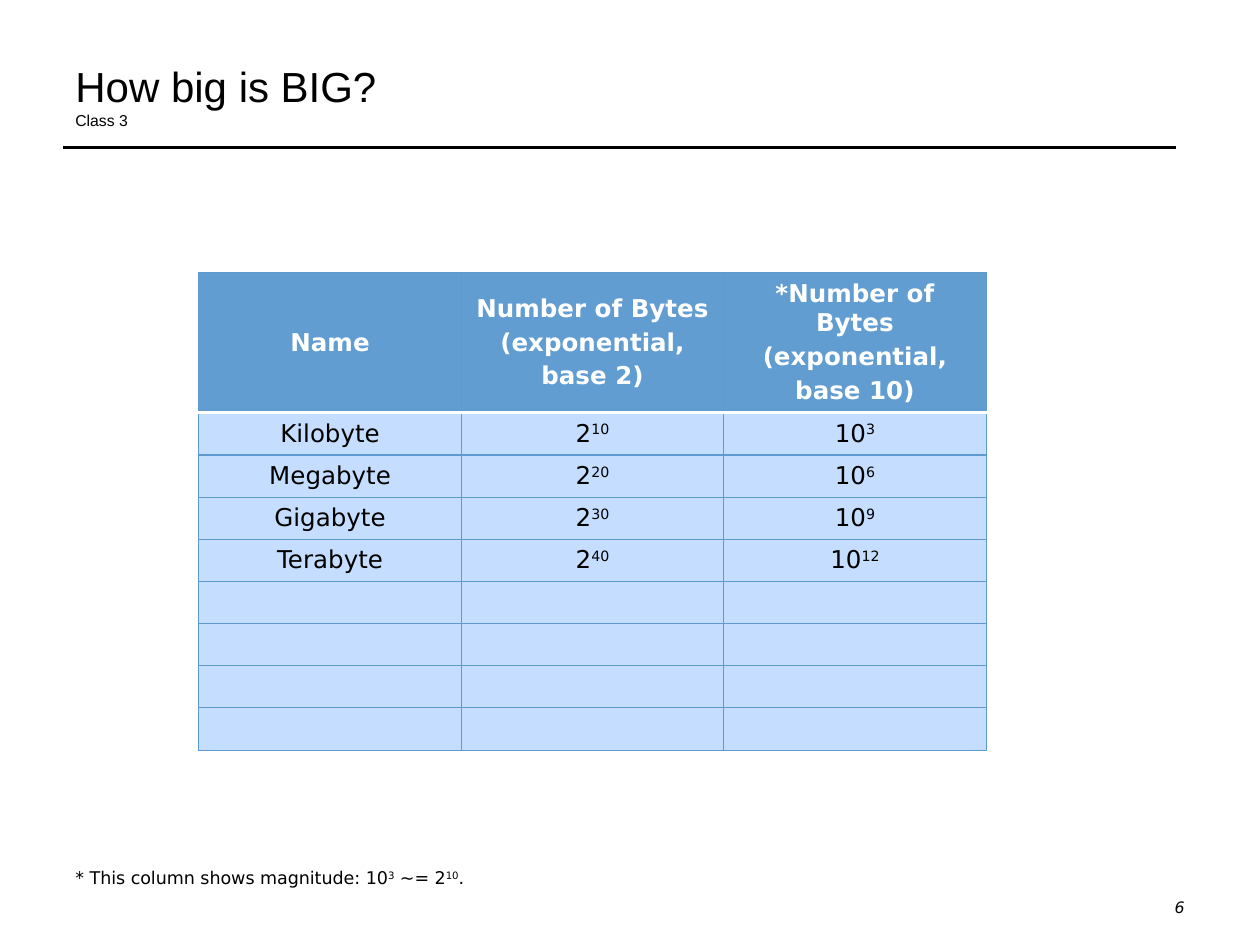
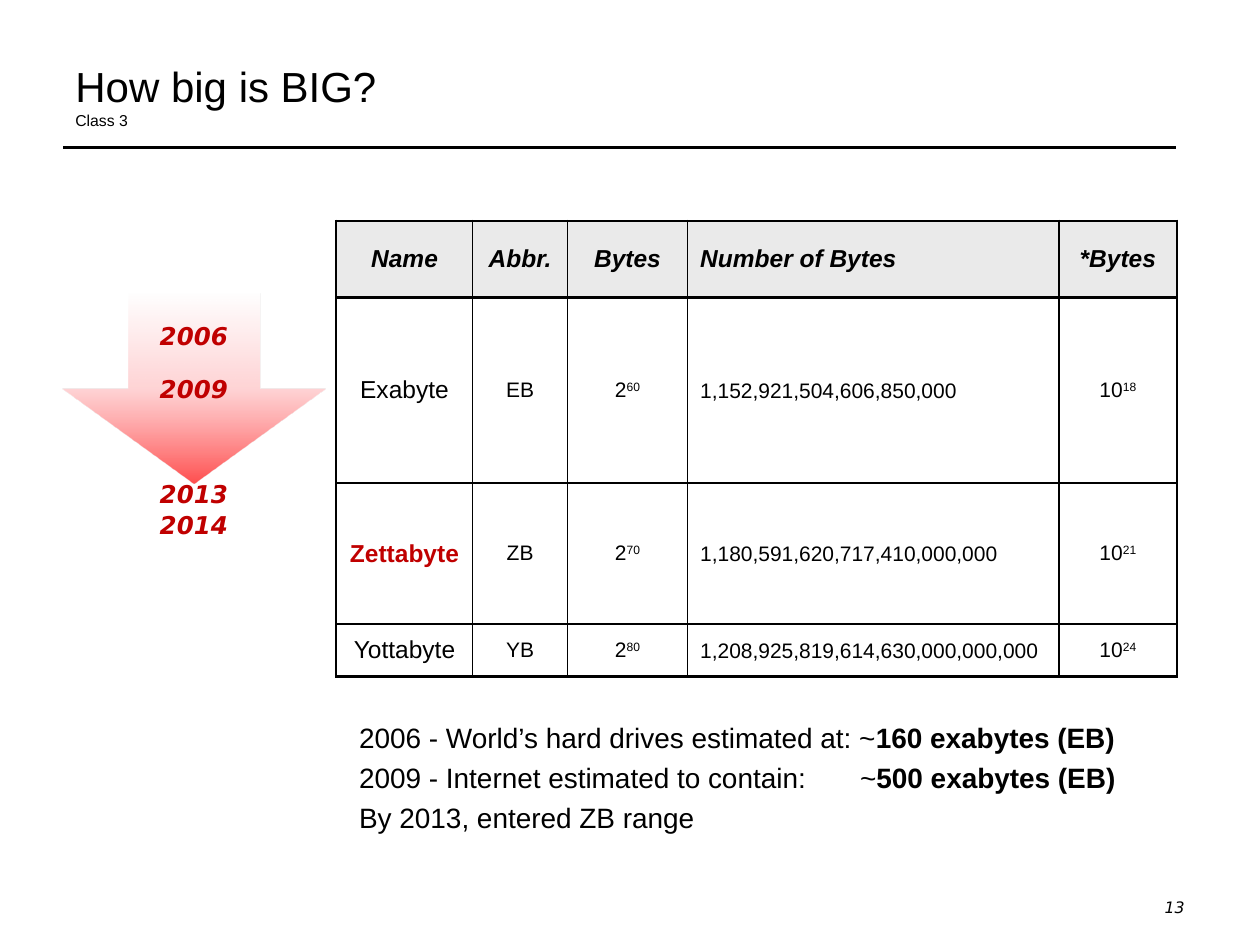
"""Build two slides that compare the sizes of large byte units."""
from lxml import etree
from pptx import Presentation
from pptx.dml.color import RGBColor
from pptx.enum.shapes import MSO_CONNECTOR, MSO_SHAPE
from pptx.enum.text import MSO_ANCHOR, PP_ALIGN
from pptx.oxml import parse_xml
from pptx.oxml.ns import nsdecls, qn
from pptx.util import Cm, Pt

LEFT, CENTER, RIGHT = PP_ALIGN.LEFT, PP_ALIGN.CENTER, PP_ALIGN.RIGHT
TOP, MIDDLE, BOTTOM = MSO_ANCHOR.TOP, MSO_ANCHOR.MIDDLE, MSO_ANCHOR.BOTTOM
STRAIGHT, DOWN_ARROW = MSO_CONNECTOR.STRAIGHT, MSO_SHAPE.DOWN_ARROW
SANS, ARIAL = "DejaVu Sans", "Arial"
BLACK, WHITE, RED = "000000", "FFFFFF", "C00000"
BLUE, PALE_BLUE, EDGE_BLUE, GREY = "629DD1", "C5DEFF", "5D9ACF", "EAEAEA"
rgb = RGBColor.from_string


def write(p, text, size, name=SANS, color=BLACK, **fmt):
    """Add runs to a paragraph; text between carets is superscript."""
    for i, part in enumerate(text.split("^")):
        if not part:
            continue
        r = p.add_run()
        r.text = part
        for key, value in {"size": Pt(size), "name": name, **fmt}.items():
            setattr(r.font, key, value)
        r.font.color.rgb = rgb(color)
        if i % 2:
            r.font._element.set("baseline", "30000")


def add_box(s, left, top, width, height, anchor=TOP, align=LEFT):
    """Add a wrapping text box and return its text frame."""
    tf = s.shapes.add_textbox(Cm(left), Cm(top), Cm(width), Cm(height)).text_frame
    tf.word_wrap = True
    tf.vertical_anchor = anchor
    tf.paragraphs[0].alignment = align
    return tf


prs = Presentation()
prs.slide_width, prs.slide_height = Cm(25.4), Cm(19.05)

slides = []
for number in ("6", "13"):
    s = prs.slides.add_slide(prs.slide_layouts[6])
    rule = s.shapes.add_connector(STRAIGHT, Cm(1.27), Cm(2.97), Cm(23.7), Cm(2.97))
    rule.line.color.rgb = rgb(BLACK)
    rule.line.width = Pt(1.5)
    etree.SubElement(rule._element.spPr, qn("a:effectLst"))
    p = add_box(s, 18.2, 17.98, 5.93, 0.64, align=RIGHT).paragraphs[0]
    write(p, number, 9, italic=True)
    p = add_box(s, 1.27, 0.76, 22.86, 1.98, BOTTOM).paragraphs[0]
    write(p, "How big is BIG?", 24, ARIAL)
    p.add_line_break()
    write(p, "Class 3", 9, ARIAL)
    slides.append(s)
units, growth = slides

p = add_box(units, 1.27, 17.35, 22.86, 0.69).paragraphs[0]
write(p, "* This column shows magnitude: 10^3^ ~= 2^10^.", 10)

tf = add_box(growth, 4.45, 14.4, 20.52, 3.6)
tf.margin_left = Cm(2.79)
estimates = [
    ("2006 - World’s hard drives estimated at: ~", "160 exabytes (EB)"),
    ("2009 - Internet estimated to contain:\t~", "500 exabytes (EB)"),
    ("By 2013, entered ZB range", ""),
]
for i, (lead, amount) in enumerate(estimates):
    p = tf.add_paragraph() if i else tf.paragraphs[0]
    if i:
        p.space_before = Pt(3.7)
    if "\t" in lead:
        tabs = etree.SubElement(p._p.get_or_add_pPr(), qn("a:tabLst"))
        etree.SubElement(tabs, qn("a:tab"), pos=str(Cm(10.1)), algn="l")
    write(p, lead, 16, ARIAL)
    write(p, amount, 16, ARIAL, bold=True)

tables = [
    {
        "slide": units, "at": (4.01, 5.49), "cols": [5.29] * 3,
        "rows": [1.55] + [0.85] * 8, "fills": (BLUE, PALE_BLUE),
        "outer": (EDGE_BLUE, 0.75), "inner": (EDGE_BLUE, 0.75), "head": (WHITE, 2),
        "head_fmt": {"size": 14, "color": WHITE, "bold": True},
        "sizes": [14] * 3, "font": SANS, "left_col": None,
        "data": [
            ["Name", "Number of Bytes\n(exponential,\nbase 2)",
             "*Number of Bytes\n(exponential,\nbase 10)"],
            ["Kilobyte", "2^10", "10^3"],
            ["Megabyte", "2^20", "10^6"],
            ["Gigabyte", "2^30", "10^9"],
            ["Terabyte", "2^40", "10^12"],
        ] + [[""] * 3] * 4,
    },
    {
        "slide": growth, "at": (6.78, 4.45), "cols": [2.75, 1.91, 2.42, 7.49, 2.37],
        "rows": [1.55, 3.74, 2.84, 1.06], "fills": (GREY, WHITE),
        "outer": (BLACK, 1.5), "inner": (BLACK, 1), "head": (BLACK, 2.25),
        "head_fmt": {"size": 14, "name": ARIAL, "bold": True, "italic": True},
        "sizes": [14] + [12] * 4, "font": ARIAL, "left_col": 3,
        "data": [
            ["Name", "Abbr.", "Bytes", "Number of Bytes", "*Bytes"],
            ["Exabyte", "EB", "2^60", "1,152,921,504,606,850,000", "10^18"],
            ["Zettabyte", "ZB", "2^70", "1,180,591,620,717,410,000,000", "10^21"],
            ["Yottabyte", "YB", "2^80", "1,208,925,819,614,630,000,000,000", "10^24"],
        ],
    },
]
for t in tables:
    cols, rows = t["cols"], t["rows"]
    left, top = t["at"]
    table = t["slide"].shapes.add_table(
        len(rows), len(cols), Cm(left), Cm(top), Cm(sum(cols)), Cm(sum(rows))).table
    table.first_row = table.horz_banding = False
    for col, width in zip(table.columns, cols):
        col.width = Cm(width)
    for row, height in zip(table.rows, rows):
        row.height = Cm(height)
    for i, texts in enumerate(t["data"]):
        for j, text in enumerate(texts):
            cell = table.cell(i, j)
            cell.vertical_anchor = MIDDLE
            sides = {"lnL": j == 0, "lnR": j == len(cols) - 1,
                     "lnT": i == 0, "lnB": i == len(rows) - 1}
            for tag, is_outer in sides.items():
                color, weight = t["outer"] if is_outer else t["inner"]
                if (tag, i) in (("lnB", 0), ("lnT", 1)):
                    color, weight = t["head"]
                ln = etree.SubElement(cell._tc.get_or_add_tcPr(), qn(f"a:{tag}"), w=str(Pt(weight)))
                solid = etree.SubElement(ln, qn("a:solidFill"))
                etree.SubElement(solid, qn("a:srgbClr"), val=color)
            cell.fill.solid()
            cell.fill.fore_color.rgb = rgb(t["fills"][min(i, 1)])
            fmt = {"size": t["sizes"][j], "name": t["font"]}
            if i == 0:
                fmt = t["head_fmt"]
            elif text == "Zettabyte":
                fmt.update(color=RED, bold=True)
            if i and j == t["left_col"]:
                cell.margin_top = cell.margin_right = Cm(0.03)
                cell.margin_bottom = Cm(0)
            tf = cell.text_frame
            for k, line in enumerate(text.split("\n")):
                p = tf.add_paragraph() if k else tf.paragraphs[0]
                p.alignment = LEFT if j == t["left_col"] else CENTER
                if k:
                    p.space_before = Pt(2.9)
                write(p, line, **fmt)
            if not text:
                end = etree.SubElement(p._p, qn("a:endParaRPr"), sz=str(fmt["size"] * 100))
                etree.SubElement(end, qn("a:latin"), typeface=fmt["name"])

sp = growth.shapes.add_shape(DOWN_ARROW, Cm(1.27), Cm(5.93), Cm(5.29), Cm(3.81))
sp.shadow.inherit = False
stops = "".join(
    f'<a:gs pos="{pos}000"><a:srgbClr val="{color}"><a:alpha val="{alpha}000"/></a:srgbClr></a:gs>'
    for pos, color, alpha in ((0, "FF0000", 69), (50, "FFB0B3", 54), (100, WHITE, 55)))
sp._element.spPr.insert(2, parse_xml(
    f'<a:gradFill {nsdecls("a")} rotWithShape="1"><a:gsLst>{stops}</a:gsLst>'
    '<a:lin ang="16200000" scaled="0"/></a:gradFill>'))
sp.line.fill.background()

for year, top in (("2013", 9.53), ("2014", 10.16), ("2006", 6.35), ("2009", 7.42)):
    p = add_box(growth, 2.54, top, 2.74, 0.86, align=CENTER).paragraphs[0]
    write(p, year, 14, color=RED, bold=True, italic=True)

prs.save("out.pptx")
